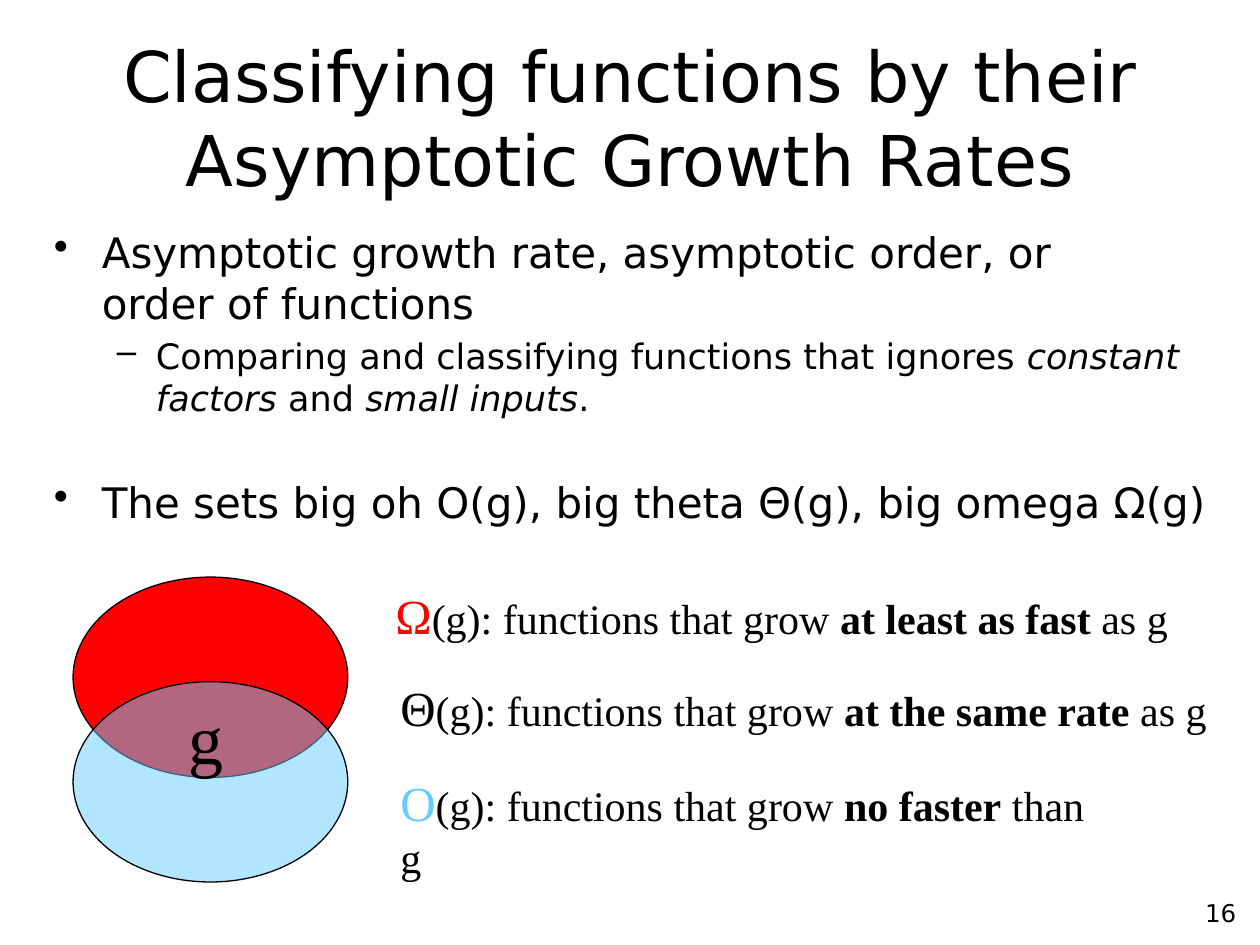
from typing import NamedTuple

from lxml import etree
from pptx import Presentation
from pptx import util as u
from pptx.dml.color import RGBColor
from pptx.enum import shapes, text
from pptx.oxml.ns import qn

PX = 9144  # 100 px to the inch
BLACK = RGBColor(0x00, 0x00, 0x00)
RED = RGBColor(0xFF, 0x00, 0x00)
SKY = RGBColor(0x66, 0xCC, 0xFF)
SANS, SERIF = "DejaVu Sans", "Times New Roman"


class Box(NamedTuple):
    left: int
    top: int
    width: int
    height: int


class Run(NamedTuple):
    words: str
    size: int = 24
    color: RGBColor = BLACK
    bold: bool = False
    italic: bool = False


class Item(NamedTuple):
    mark: str
    indent: int
    hang: int
    before: int
    runs: list[Run]


class Growth(NamedTuple):
    box: Box
    sign: str
    color: RGBColor
    rate: str
    tail: str
    wrap: bool = False


def emu(box: Box) -> list[int]:
    return [n * PX for n in box]


def add_runs(para, runs: list[Run], face: str) -> None:
    """Append the runs; a newline in the words becomes a line break."""
    for run in runs:
        for i, line in enumerate(run.words.split("\n")):
            if i:
                para.add_line_break()
            part = para.add_run()
            part.text = line
            look = {"name": face, "size": u.Pt(run.size),
                    "bold": run.bold, "italic": run.italic}
            for key, val in look.items():
                setattr(part.font, key, val)
            part.font.color.rgb = run.color


def add_text(slide, box: Box, runs: list[Run], face: str, wrap: bool = False):
    frame = slide.shapes.add_textbox(*emu(box)).text_frame
    frame.word_wrap = wrap
    add_runs(frame.paragraphs[0], runs, face)
    return frame


def add_title(slide, box: Box, words: str) -> None:
    title = slide.shapes.title
    for key, val in zip(Box._fields, emu(box)):
        setattr(title, key, val)
    frame = title.text_frame
    frame.auto_size = text.MSO_AUTO_SIZE.NONE
    frame.vertical_anchor = text.MSO_ANCHOR.MIDDLE
    para = frame.paragraphs[0]
    para.alignment = text.PP_ALIGN.CENTER
    add_runs(para, [Run(words, 40)], SANS)


def add_list(slide, box: Box, items: list[Item]) -> None:
    frame = slide.shapes.add_textbox(*emu(box)).text_frame
    frame.word_wrap = True
    for i, item in enumerate(items):
        para = frame.add_paragraph() if i else frame.paragraphs[0]
        if item.before:
            para.space_before = u.Pt(item.before)
        props = para._p.get_or_add_pPr()
        props.set("marL", str(item.indent * PX))
        props.set("indent", str(-item.hang * PX))
        etree.SubElement(props, qn("a:buChar")).set("char", item.mark)
        add_runs(para, item.runs, SANS)


def add_oval(slide, box: Box, color: RGBColor, alpha: int) -> None:
    """Draw an outlined ellipse; alpha is its opacity in percent."""
    oval = slide.shapes.add_shape(shapes.MSO_SHAPE.OVAL, *emu(box))
    oval.shadow.inherit = False
    oval.fill.solid()
    oval.fill.fore_color.rgb = color
    oval.line.color.rgb = BLACK
    oval.line.width = u.Pt(0.75)
    if alpha < 100:
        tint = oval._element.spPr.find(qn("a:solidFill"))[0]
        etree.SubElement(tint, qn("a:alpha")).set("val", str(alpha * 1000))


ITEMS = [
    Item("•", 38, 38, 0, [
        Run("Asymptotic growth rate, asymptotic order, or\norder of functions")]),
    Item("–", 81, 31, 4, [
        Run("Comparing and classifying functions that ignores ", 20),
        Run("constant factors", 20, italic=True),
        Run(" and ", 20),
        Run("small inputs", 20, italic=True),
        Run(".", 20)]),
    Item("•", 38, 38, 33, [
        Run("The sets big oh O(g), big theta Θ(g), big omega Ω(g)")]),
]
RATES = [
    Growth(Box(304, 460, 634, 57), "Ω", RED, "at least as fast", " as g"),
    Growth(Box(308, 533, 660, 57), "Θ", BLACK, "at the same rate", " as g"),
    Growth(Box(308, 608, 580, 95), "O", SKY, "no faster", " than g", True),
]


def main() -> None:
    deck = Presentation()
    deck.slide_width, deck.slide_height = 1000 * PX, 750 * PX
    slide = deck.slides.add_slide(deck.slide_layouts[5])

    add_title(slide, Box(50, 30, 900, 125),
              "Classifying functions by their\nAsymptotic Growth Rates")
    add_list(slide, Box(33, 175, 967, 495), ITEMS)

    for top, color, alpha in ((458, RED, 100), (541, SKY, 50)):
        add_oval(slide, Box(58, top, 218, 159), color, alpha)
    add_text(slide, Box(140, 546, 48, 77), [Run("g", 40)], SERIF)

    for row in RATES:
        runs = [Run(row.sign, 28, row.color), Run("(g): functions that grow "),
                Run(row.rate, bold=True), Run(row.tail)]
        add_text(slide, row.box, runs, SERIF, row.wrap)

    page = add_text(slide, Box(783, 708, 208, 37), [Run("16", 14)], SANS, True)
    page.paragraphs[0].alignment = text.PP_ALIGN.RIGHT
    deck.save("out.pptx")


if __name__ == "__main__":
    main()
